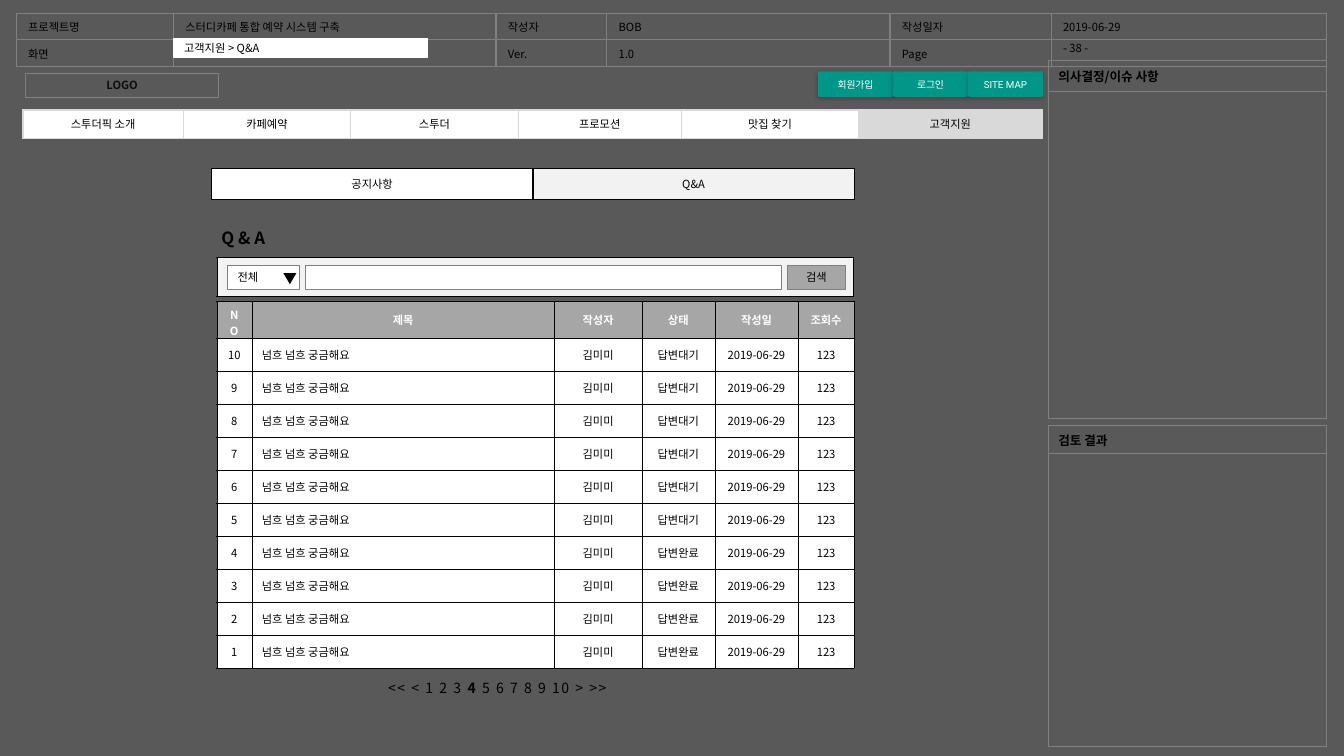
"""Build the Q&A board wireframe slide of a study cafe reservation system."""
from dataclasses import dataclass, replace
from typing import Optional

from lxml import etree
from pptx import Presentation
from pptx.dml.color import RGBColor
from pptx.enum.shapes import MSO_SHAPE
from pptx.enum.text import MSO_ANCHOR, MSO_AUTO_SIZE, PP_ALIGN
from pptx.oxml.ns import qn
from pptx.util import Cm, Pt

LEFT, CENTER = PP_ALIGN.LEFT, PP_ALIGN.CENTER
TOP, MIDDLE = MSO_ANCHOR.TOP, MSO_ANCHOR.MIDDLE
RECTANGLE, ROUNDED = MSO_SHAPE.RECTANGLE, MSO_SHAPE.ROUNDED_RECTANGLE
TRIANGLE = MSO_SHAPE.ISOSCELES_TRIANGLE
FIT_SHAPE = MSO_AUTO_SIZE.SHAPE_TO_FIT_TEXT

SANS, ROBOTO = "Noto Sans CJK KR", "Roboto"
BLACK, WHITE, BACKDROP = "000000", "FFFFFF", "595959"
GRAY, MID_GRAY, LIGHT_GRAY, PALE_GRAY = "808080", "A6A6A6", "D9D9D9", "F2F2F2"
TEAL, LOGO_INK = "009688", "0D0D0D"


@dataclass(frozen=True)
class Style:
    size: float = 8
    bold: bool = False
    color: str = BLACK
    font: str = SANS
    align: PP_ALIGN = LEFT


@dataclass(frozen=True)
class Cell:
    text: str = ""
    style: Style = Style()
    fill: Optional[str] = None


@dataclass(frozen=True)
class Grid:
    left: float
    top: float
    columns: list[float]
    rows: list[float]
    cells: list[list[Cell]]
    border: str
    border_width: float = 1
    inset: float = 0.25
    anchor: MSO_ANCHOR = MIDDLE


@dataclass(frozen=True)
class Box:
    left: float
    top: float
    width: float
    height: float
    text: str = ""
    style: Style = Style()
    fill: Optional[str] = None
    line: Optional[str] = None
    line_width: float = 0.75
    kind: MSO_SHAPE = RECTANGLE
    anchor: MSO_ANCHOR = MIDDLE


PLAIN, CENTERED = Style(), Style(align=CENTER)
PANEL_TITLE = Style(size=9, bold=True)
BOARD_HEAD = Style(bold=True, color=WHITE, align=CENTER)
BUTTON = Style(size=7, color=WHITE, font=ROBOTO, align=CENTER)


def rgb(value: str) -> RGBColor:
    return RGBColor.from_string(value)


def paint(fill, color: Optional[str]) -> None:
    if color is None:
        fill.background()
    else:
        fill.solid()
        fill.fore_color.rgb = rgb(color)


def write(paragraph, text: str, style: Style) -> None:
    paragraph.text = text
    paragraph.alignment = style.align
    font = paragraph.font
    font.size, font.bold, font.name = Pt(style.size), style.bold, style.font
    font.color.rgb = rgb(style.color)
    defaults = paragraph._p.pPr.find(qn("a:defRPr"))
    etree.SubElement(defaults, qn("a:ea"), typeface=style.font)


def add_borders(cell, color: str, width: float) -> None:
    properties = cell._tc.get_or_add_tcPr()
    for side in ("lnL", "lnR", "lnT", "lnB"):
        line = etree.SubElement(properties, qn(f"a:{side}"), w=str(Pt(width)))
        solid = etree.SubElement(line, qn("a:solidFill"))
        etree.SubElement(solid, qn("a:srgbClr"), val=color)


def draw_grid(slide, grid: Grid) -> None:
    table = slide.shapes.add_table(
        len(grid.rows), len(grid.columns), Cm(grid.left), Cm(grid.top),
        Cm(sum(grid.columns)), Cm(sum(grid.rows))).table
    table.first_row = table.horz_banding = False
    for column, width in zip(table.columns, grid.columns):
        column.width = Cm(width)
    for row, height, contents in zip(table.rows, grid.rows, grid.cells):
        row.height = Cm(height)
        for cell, content in zip(row.cells, contents):
            cell.margin_left = cell.margin_right = Cm(grid.inset)
            cell.margin_top = cell.margin_bottom = Cm(0.13)
            cell.vertical_anchor = grid.anchor
            write(cell.text_frame.paragraphs[0], content.text, content.style)
            add_borders(cell, grid.border, grid.border_width)
            paint(cell.fill, content.fill)


def draw_box(slide, box: Box):
    shape = slide.shapes.add_shape(
        box.kind, Cm(box.left), Cm(box.top), Cm(box.width), Cm(box.height))
    shape.shadow.inherit = False
    paint(shape.fill, box.fill)
    paint(shape.line.fill, box.line)
    if box.line:
        shape.line.width = Pt(box.line_width)
    if box.text:
        frame = shape.text_frame
        frame.word_wrap = True
        frame.vertical_anchor = box.anchor
        write(frame.paragraphs[0], box.text, box.style)
    return shape


def draw_button(slide, box: Box) -> None:
    button = draw_box(slide, box)
    button.adjustments[0] = 0.05
    button.text_frame.margin_left = button.text_frame.margin_right = Cm(0.2)
    effects = button._element.spPr.find(qn("a:effectLst"))
    shadow = etree.SubElement(effects, qn("a:outerShdw"), blurRad=str(Pt(3)),
                              dist=str(Pt(1)), dir="5400000", rotWithShape="0")
    color = etree.SubElement(shadow, qn("a:srgbClr"), val=BLACK)
    etree.SubElement(color, qn("a:alpha"), val="25000")


def draw_label(slide, box: Box, wrap: bool = False):
    frame = slide.shapes.add_textbox(
        Cm(box.left), Cm(box.top), Cm(box.width), Cm(box.height)).text_frame
    frame.word_wrap = wrap
    frame.auto_size = FIT_SHAPE
    write(frame.paragraphs[0], box.text, box.style)
    return frame.paragraphs[0]


def draw_pager(slide) -> None:
    pager = draw_label(slide, Box(9.53, 16.99, 7.42, 0.69, style=Style(size=10)))
    for text, current in (("<< < 1 2 3 ", False), ("4", True), (" 5 6 7 8 9 10 > >>", False)):
        run = pager.add_run()
        run.text, run.font.bold = text, current
        run._r.get_or_add_rPr().set("spc", "112")


def draw_panel(slide, title: str, top: float, rows: list[float]) -> None:
    cells = [[Cell(title, PANEL_TITLE)], [Cell()]]
    draw_grid(slide, Grid(26.42, top, [7.01], rows, cells, GRAY))


def board_rows() -> list[list[Cell]]:
    heads = ("NO", "제목", "작성자", "상태", "작성일", "조회수")
    rows = [[Cell(head, BOARD_HEAD, MID_GRAY) for head in heads]]
    for number in range(10, 0, -1):
        status = "답변대기" if number > 4 else "답변완료"
        values = (str(number), "넘흐 넘흐 궁금해요", "김미미", status, "2019-06-29", "123")
        rows.append([Cell(value, PLAIN if column == 1 else CENTERED, WHITE)
                     for column, value in enumerate(values)])
    return rows


def main() -> None:
    deck = Presentation()
    deck.slide_width, deck.slide_height = Cm(33.87), Cm(19.05)
    slide = deck.slides.add_slide(deck.slide_layouts[6])
    paint(slide.background.fill, BACKDROP)

    project = (("프로젝트명", "스터디카페 통합 예약 시스템 구축", "작성자", "BOB", "작성일자", "2019-06-29"),
               ("화면", "", "Ver.", "1.0", "Page", ""))
    draw_grid(slide, Grid(0.41, 0.33, [3.96, 8.13, 2.79, 7.14, 4.06, 6.93], [0.61] * 2,
                          [[Cell(text) for text in row] for row in project],
                          GRAY, inset=0.3, anchor=TOP))
    draw_label(slide, Box(26.54, 0.91, 2.72, 0.61, "- 38 -"), wrap=True)
    draw_panel(slide, "의사결정/이슈 사항", 1.52, [0.79, 8.23])
    draw_panel(slide, "검토 결과", 10.72, [0.71, 7.39])

    for index, text in enumerate(("회원가입", "로그인", "SITE MAP")):
        draw_button(slide, Box(20.62 + 1.89 * index, 1.8, 1.88, 0.64, text, BUTTON, TEAL, kind=ROUNDED))
    menu = [Cell(text, CENTERED, WHITE)
            for text in ("스투더픽 소개", "카페예약", "스투더", "프로모션", "맛집 찾기", "고객지원")]
    menu[-1] = replace(menu[-1], fill=LIGHT_GRAY)
    draw_grid(slide, Grid(0.58, 2.77, [4.04, 4.22, 4.22, 4.11, 4.47, 4.62], [0.71],
                          [menu], LIGHT_GRAY, inset=0.3))
    draw_box(slide, Box(0.64, 1.85, 4.88, 0.61, "LOGO",
                        Style(bold=True, color=LOGO_INK, align=CENTER), line=GRAY, anchor=TOP))

    draw_label(slide, Box(5.33, 5.61, 1.83, 0.76, "Q & A", Style(size=12, bold=True)))
    draw_grid(slide, Grid(5.46, 7.59, [0.89, 7.62, 2.21, 1.83, 2.11, 1.4], [0.69] + [0.83] * 10,
                          board_rows(), BLACK, 0.25))
    draw_pager(slide)

    draw_grid(slide, Grid(5.46, 6.48, [16.03], [0.99], [[Cell(fill=PALE_GRAY)]], BLACK, 0.25))
    draw_box(slide, Box(5.74, 6.68, 1.8, 0.61, "전체", PLAIN, WHITE, GRAY))
    draw_box(slide, Box(7.14, 6.88, 0.33, 0.28, fill=BLACK, kind=TRIANGLE)).rotation = 180
    draw_box(slide, Box(7.7, 6.68, 11.99, 0.61, fill=WHITE, line=GRAY))
    draw_box(slide, Box(19.84, 6.68, 1.47, 0.61, "검색", CENTERED, MID_GRAY, GRAY))

    tabs = [Cell("공지사항", CENTERED, WHITE), Cell("Q&A", CENTERED, PALE_GRAY)]
    draw_grid(slide, Grid(5.33, 4.24, [8.1] * 2, [0.79], [tabs], BLACK))
    draw_box(slide, Box(4.39, 0.97, 6.38, 0.48, "고객지원 > Q&A", PLAIN, WHITE, WHITE, 1))
    deck.save("out.pptx")


if __name__ == "__main__":
    main()
